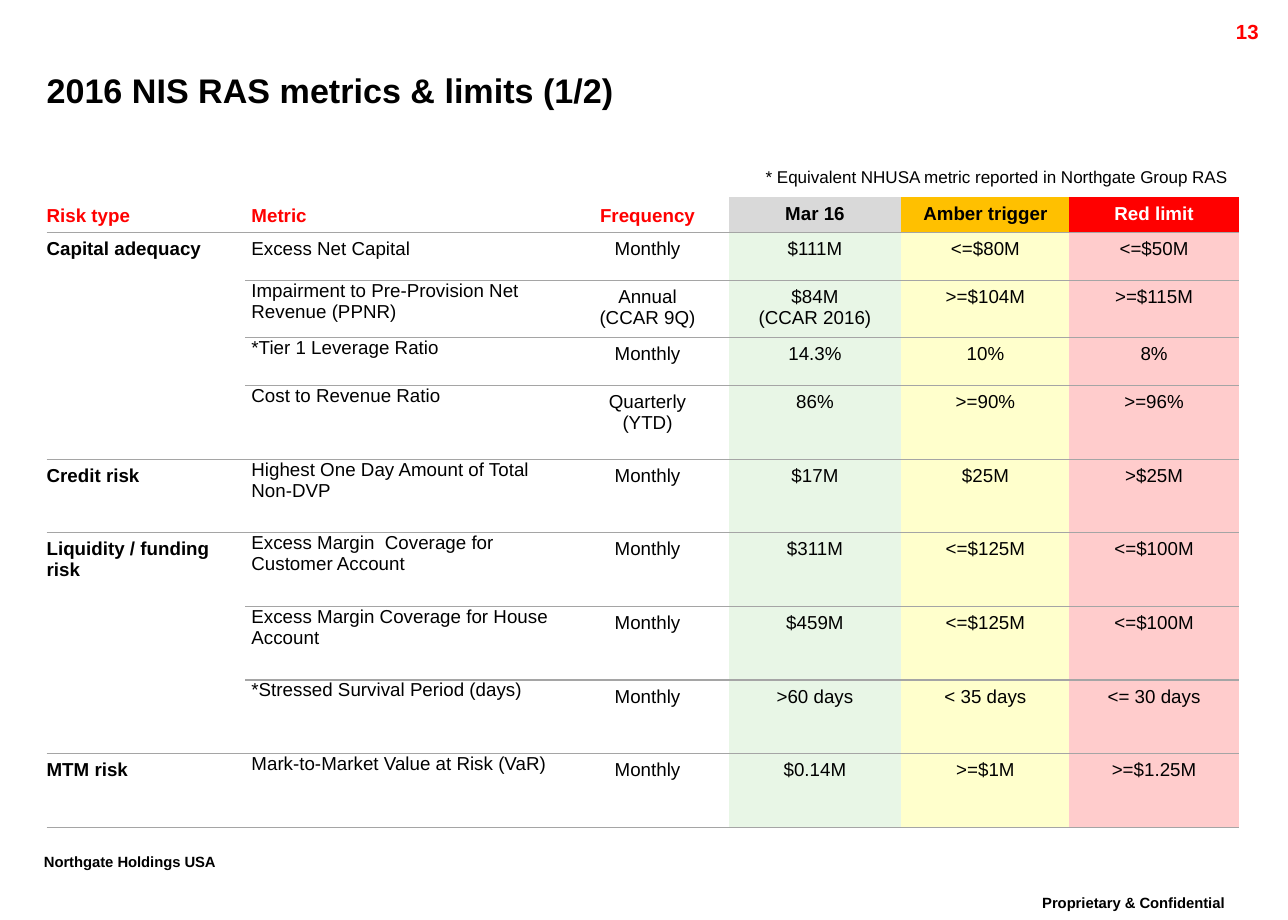
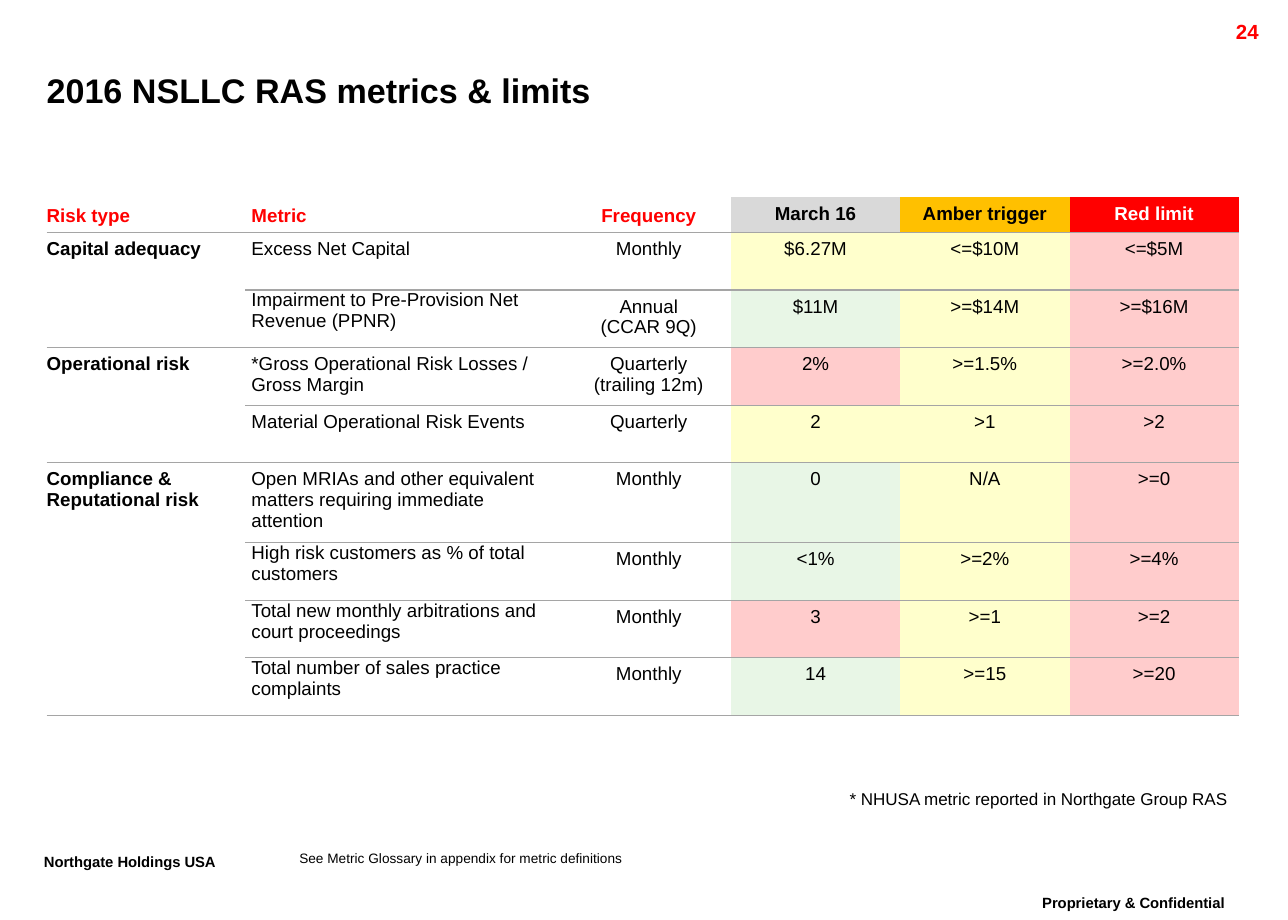
from collections import namedtuple
from dataclasses import dataclass

import lxml.etree
import pptx
import pptx.dml.color
import pptx.enum.text
import pptx.oxml.ns
import pptx.util

Inches = pptx.util.Inches
Align = pptx.enum.text.PP_ALIGN
Anchor = pptx.enum.text.MSO_ANCHOR
qn = pptx.oxml.ns.qn


@dataclass(frozen=True)
class Theme:
    font: str = "Arial"
    black: str = "000000"
    white: str = "FFFFFF"
    red: str = "FF0000"
    amber: str = "FFC000"
    grey: str = "D9D9D9"
    rule: str = "A5A5A5"
    pale_green: str = "E8F6E6"
    pale_amber: str = "FFFFCC"
    pale_red: str = "FFCCCC"
    title_size: float = 20
    footer_size: float = 15
    number_size: float = 12
    table_size: float = 11
    note_size: float = 10
    glossary_size: float = 8


THEME = Theme()
PLAIN_TABLE = "{2D5ABB26-0587-4C30-8999-92F81FD0307C}"
HEADER_HEIGHT = 0.285

Metric = namedtuple(
    "Metric", "name frequency current amber red status height tight",
    defaults=(THEME.pale_green, 0.6, True))
Group = namedtuple("Group", "risk metrics")

SIS_GROUPS = [
    Group("Capital adequacy", [
        Metric("Excess Net Capital", "Monthly", "$111M", "<=$80M", "<=$50M",
               height=0.39, tight=False),
        Metric("Impairment to Pre-Provision Net Revenue (PPNR)", "Annual\n(CCAR 9Q)",
               "$84M\n(CCAR 2016)", ">=$104M", ">=$115M", height=0.47),
        Metric("*Tier 1 Leverage Ratio", "Monthly", "14.3%", "10%", "8%", height=0.39),
        Metric("Cost to Revenue Ratio", "Quarterly\n(YTD)", "86%", ">=90%", ">=96%"),
    ]),
    Group("Credit risk", [
        Metric("Highest One Day Amount of Total Non-DVP", "Monthly", "$17M", "$25M", ">$25M"),
    ]),
    Group("Liquidity / funding risk", [
        Metric("Excess Margin  Coverage for Customer Account", "Monthly",
               "$311M", "<=$125M", "<=$100M"),
        Metric("Excess Margin Coverage for House Account", "Monthly",
               "$459M", "<=$125M", "<=$100M"),
        Metric("*Stressed Survival Period (days)", "Monthly",
               ">60 days", "< 35 days", "<= 30 days"),
    ]),
    Group("MTM risk", [
        Metric("Mark-to-Market Value at Risk (VaR)", "Monthly", "$0.14M", ">=$1M", ">=$1.25M"),
    ]),
]

SSLLC_GROUPS = [
    Group("Capital adequacy", [
        Metric("Excess Net Capital", "Monthly", "$6.27M", "<=$10M", "<=$5M",
               THEME.pale_amber, 0.47, False),
        Metric("Impairment to Pre-Provision Net Revenue (PPNR)", "Annual\n(CCAR 9Q)",
               "$11M", ">=$14M", ">=$16M", height=0.47),
    ]),
    Group("Operational risk", [
        Metric("*Gross Operational Risk Losses / Gross Margin", "Quarterly\n(trailing 12m)",
               "2%", ">=1.5%", ">=2.0%", THEME.pale_red, 0.47, False),
        Metric("Material Operational Risk Events", "Quarterly", "2", ">1", ">2",
               THEME.pale_amber, 0.47, False),
    ]),
    Group("Compliance & Reputational risk", [
        Metric("Open MRIAs and other equivalent matters requiring immediate attention",
               "Monthly", "0", "N/A", ">=0", height=0.65, tight=False),
        Metric("High risk customers as % of total customers", "Monthly",
               "<1%", ">=2%", ">=4%", height=0.47),
        Metric("Total new monthly arbitrations and court proceedings", "Monthly",
               "3", ">=1", ">=2", THEME.pale_red, 0.47),
        Metric("Total number of sales practice complaints", "Monthly",
               "14", ">=15", ">=20", height=0.47),
    ]),
]


def color(value):
    return pptx.dml.color.RGBColor.from_string(value)


def style(frame, size, tint=THEME.black, bold=False, align=Align.LEFT):
    for para in frame.paragraphs:
        para.alignment = align
        font = para.font
        font.name = THEME.font
        font.size = pptx.util.Pt(size)
        font.bold = bold
        font.color.rgb = color(tint)


def add_text(page, text, box, size, tint=THEME.black, bold=False, align=Align.LEFT,
             spacing=None, inset=None):
    frame = page.shapes.add_textbox(*map(Inches, box)).text_frame
    frame.word_wrap = True
    if inset is not None:
        frame.margin_left = frame.margin_right = Inches(inset)
        frame.margin_top = frame.margin_bottom = Inches(inset)
    frame.text = text
    style(frame, size, tint, bold, align)
    if spacing:
        frame.paragraphs[0].line_spacing = spacing
    return frame


def add_footer(page, text, box, align):
    frame = add_text(page, text, box, THEME.footer_size, bold=True, align=align, spacing=0.86)
    frame.paragraphs[0].runs[0]._r.get_or_add_rPr().set("baseline", "30000")


def add_note(page, text, top):
    add_text(page, text, (5.5, top, 4.6, 0.25), THEME.note_size,
             align=Align.RIGHT, spacing=0.86)


def add_page(deck, title, number):
    page = deck.slides.add_slide(deck.slide_layouts[5])
    heading = page.shapes.title
    heading.left, heading.top, heading.width, heading.height = map(
        Inches, (0.38, 0.49, 9.48, 0.48))
    frame = heading.text_frame
    frame.margin_left = frame.margin_right = frame.margin_top = frame.margin_bottom = 0
    frame.vertical_anchor = Anchor.MIDDLE
    frame.auto_size = pptx.enum.text.MSO_AUTO_SIZE.NONE
    frame.text = title
    style(frame, THEME.title_size, bold=True)
    add_footer(page, "Proprietary & Confidential", (8.15, 7.25, 2.18, 0.35), Align.CENTER)
    add_footer(page, "Northgate Holdings USA", (0.26, 6.91, 2.1, 0.35), Align.LEFT)
    add_text(page, str(number), (9.36, 0.11, 1, 0.24), THEME.number_size,
             THEME.red, True, Align.RIGHT)
    return page


def fill_cell(cell, text, column, tint=THEME.black, bold=False, fill=None, tight=False):
    cell.margin_left = Inches(0.05 if column else 0)
    cell.margin_right = cell.margin_top = cell.margin_bottom = Inches(0 if tight else 0.05)
    cell.text_frame.text = text
    style(cell.text_frame, THEME.table_size, tint, bold,
          Align.LEFT if column < 2 else Align.CENTER)
    if fill:
        cell.fill.solid()
        cell.fill.fore_color.rgb = color(fill)
    else:
        cell.fill.background()


def rule_below(cell):
    line = lxml.etree.Element(qn("a:lnB"), w=str(pptx.util.Pt(0.75)))
    paint = lxml.etree.SubElement(line, qn("a:solidFill"))
    lxml.etree.SubElement(paint, qn("a:srgbClr"), val=THEME.rule)
    cell._tc.get_or_add_tcPr().insert(0, line)


def add_header(table, period):
    headings = [
        ("Risk type", THEME.red, None),
        ("Metric", THEME.red, None),
        ("Frequency", THEME.red, None),
        (period, THEME.black, THEME.grey),
        ("Amber trigger", THEME.black, THEME.amber),
        ("Red limit", THEME.white, THEME.red),
    ]
    for column, (text, tint, fill) in enumerate(headings):
        cell = table.cell(0, column)
        fill_cell(cell, text, column, tint, True, fill)
        cell.vertical_anchor = Anchor.TOP if fill else Anchor.BOTTOM
        rule_below(cell)


def add_group(table, first, group):
    last = first + len(group.metrics) - 1
    for row, metric in enumerate(group.metrics, first):
        fill_cell(table.cell(row, 0), group.risk if row == first else "", 0, bold=True)
        values = [
            (metric.name, None),
            (metric.frequency, None),
            (metric.current, metric.status),
            (metric.amber, THEME.pale_amber),
            (metric.red, THEME.pale_red),
        ]
        for column, (text, fill) in enumerate(values, 1):
            cell = table.cell(row, column)
            fill_cell(cell, text, column, fill=fill, tight=metric.tight and column == 1)
            rule_below(cell)
    for row in sorted({first, last}):
        rule_below(table.cell(row, 0))
    if last > first:
        table.cell(first, 0).merge(table.cell(last, 0))
    return last + 1


def add_metrics_table(page, left, top, widths, period, groups):
    heights = [HEADER_HEIGHT] + [m.height for group in groups for m in group.metrics]
    holder = page.shapes.add_table(
        len(heights), len(widths), Inches(left), Inches(top),
        Inches(sum(widths)), Inches(sum(heights)))
    table = holder.table
    table.horz_banding = False
    table._tbl.tblPr.find(qn("a:tableStyleId")).text = PLAIN_TABLE
    for column, width in zip(table.columns, widths):
        column.width = Inches(width)
    for row, height in zip(table.rows, heights):
        row.height = Inches(height)
    add_header(table, period)
    row = 1
    for group in groups:
        row = add_group(table, row, group)


def add_sis_page(deck):
    page = add_page(deck, "2016 NIS RAS metrics & limits (1/2)", 13)
    add_metrics_table(page, 0.38, 1.61, (1.62, 2.62, 1.32, 1.41, 1.37, 1.38),
                      "Mar 16", SIS_GROUPS)
    add_note(page, "* Equivalent NHUSA metric reported in Northgate Group RAS", 1.33)


def add_ssllc_page(deck):
    page = add_page(deck, "2016 NSLLC RAS metrics & limits", 24)
    add_metrics_table(page, 0.38, 1.61, (1.62, 2.62, 1.34, 1.38, 1.38, 1.38),
                      "March 16", SSLLC_GROUPS)
    add_text(page, "See Metric Glossary in appendix for metric definitions",
             (2.44, 6.93, 5.47, 0.13), THEME.glossary_size, inset=0)
    add_note(page, "* NHUSA metric reported in Northgate Group RAS", 6.4)


def main():
    deck = pptx.Presentation()
    deck.slide_width, deck.slide_height = Inches(10.5), Inches(7.5)
    add_sis_page(deck)
    add_ssllc_page(deck)
    deck.save("out.pptx")


if __name__ == "__main__":
    main()
